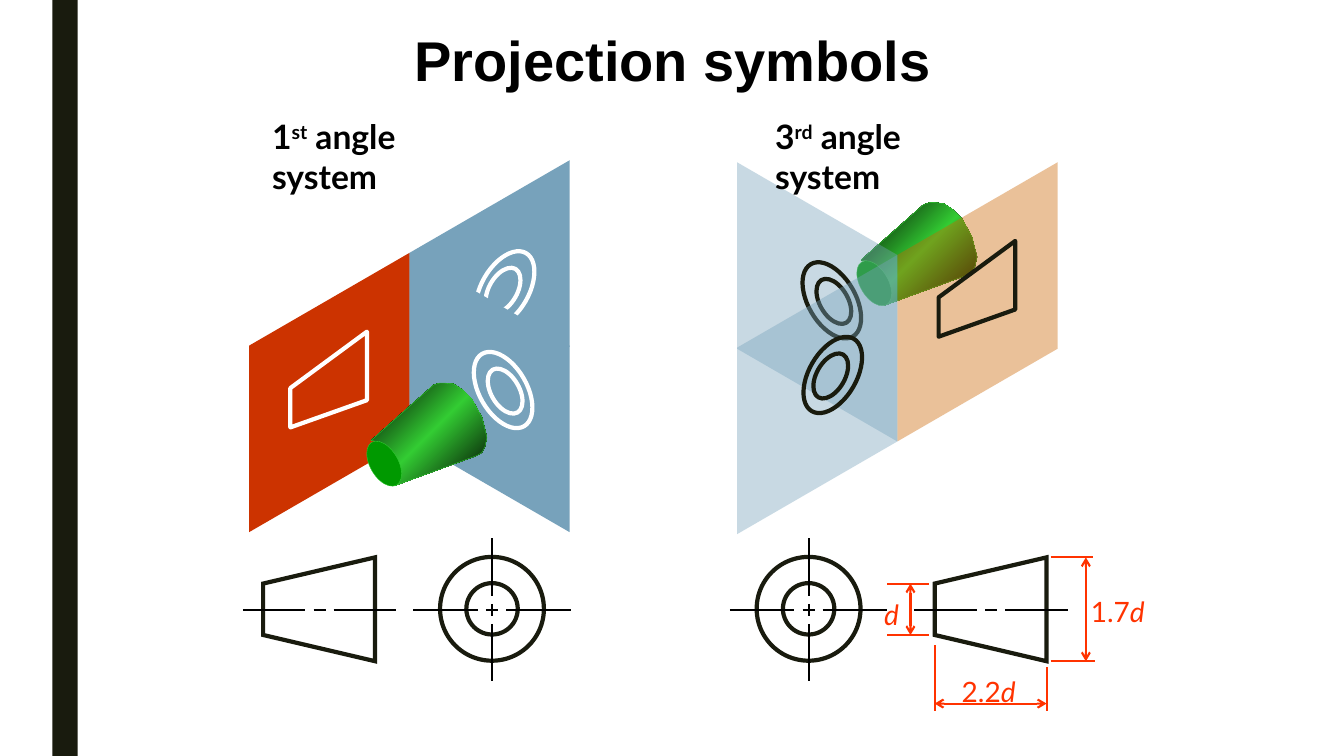
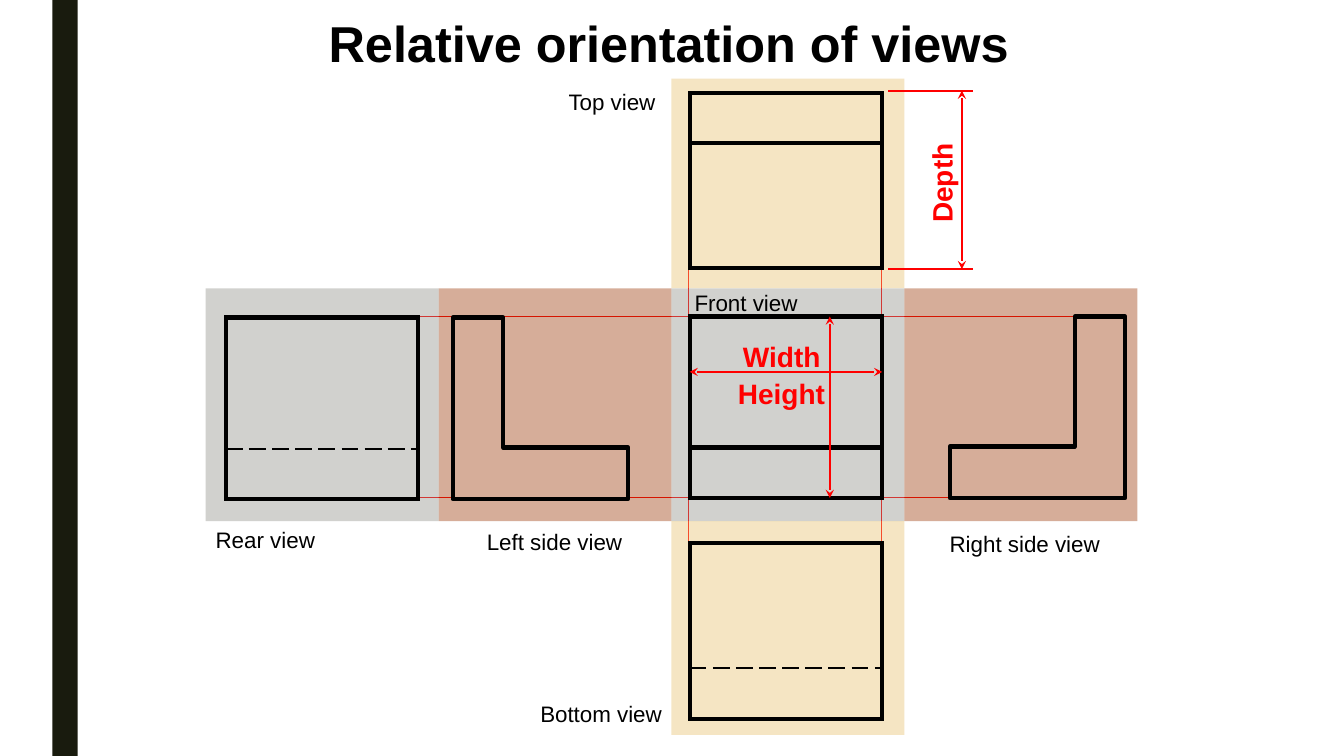
from dataclasses import dataclass
from lxml.etree import SubElement
from pptx import Presentation
from pptx.dml.color import RGBColor
from pptx.enum.dml import MSO_LINE
from pptx.enum.shapes import MSO_CONNECTOR, MSO_SHAPE
from pptx.enum.text import MSO_ANCHOR, PP_ALIGN
from pptx.oxml.ns import qn
from pptx.util import Inches, Pt


@dataclass(frozen=True)
class Theme:
    ink: str = "191B0E"
    black: str = "000000"
    white: str = "FFFFFF"
    blue: str = "77A2BB"
    rust: str = "CC3300"
    orange: str = "CC6600"
    cone: str = "33CC33"
    cone_end: str = "009900"
    dim: str = "FF3300"
    red: str = "FF0000"
    grey: str = "8C8D86"
    brown: str = "993300"
    sand: str = "E6C069"
    arial: str = "Arial"
    lato: str = "Lato"
    symbols_title: int = 40
    views_title: int = 36
    system_size: int = 24
    dim_size: int = 20
    view_size: int = 16
    thick: float = 3
    thin: float = 1.5
    hair: float = 0.75
    edge: float = 0.25
    clear: int = 40


THEME = Theme()


def rgb(color):
    return RGBColor.from_string(color)


def set_alpha(shape, percent):
    color = shape.element.spPr.find(qn("a:solidFill"))[0]
    SubElement(color, qn("a:alpha")).set("val", str(percent * 1000))


def set_cone_gradient(shape):
    """Dark, bright, dark across the cone at 45 degrees."""
    shape.fill.gradient()
    grad = shape.element.spPr.find(qn("a:gradFill"))
    for child in list(grad):
        grad.remove(child)
    stops = SubElement(grad, qn("a:gsLst"))
    for percent, color in ((0, THEME.black), (50, THEME.cone), (100, THEME.black)):
        stop = SubElement(stops, qn("a:gs"), pos=str(percent * 1000))
        SubElement(stop, qn("a:srgbClr"), val=color)
    SubElement(grad, qn("a:lin"), ang="2700000", scaled="0")


class Region:
    """Area of a slide; lengths in its methods are inches from its corner."""

    def __init__(self, slide, left, top):
        self.slide, self.left, self.top = slide, left, top

    def area(self, x, y):
        return Region(self.slide, self.left + x, self.top + y)

    def point(self, x, y):
        return Inches(self.left + x), Inches(self.top + y)

    def paint(self, shape, fill, line, width, alpha=None, sharp=False):
        shape.shadow.inherit = False
        if fill:
            shape.fill.solid()
            shape.fill.fore_color.rgb = rgb(fill)
            if alpha:
                set_alpha(shape, alpha)
        else:
            shape.fill.background()
        if line:
            shape.line.color.rgb = rgb(line)
            shape.line.width = Pt(width)
            if sharp:
                SubElement(shape.element.spPr.find(qn("a:ln")), qn("a:miter"), lim="800000")
        else:
            shape.line.fill.background()
        return shape

    def preset(self, kind, x, y, w, h, fill=None, line=None, width=THEME.thick,
               rotation=0, **look):
        shape = self.slide.shapes.add_shape(kind, *self.point(x, y), Inches(w), Inches(h))
        shape.rotation = rotation
        return self.paint(shape, fill, line, width, **look)

    def rect(self, *box, **look):
        return self.preset(MSO_SHAPE.RECTANGLE, *box, **look)

    def oval(self, cx, cy, w, h, **look):
        return self.preset(MSO_SHAPE.OVAL, cx - w / 2, cy - h / 2, w, h, **look)

    def polygon(self, points, fill=None, line=None, width=THEME.thick, **look):
        start, *rest = [self.point(*p) for p in points]
        builder = self.slide.shapes.build_freeform(*start, scale=1.0)
        builder.add_line_segments(rest, close=True)
        return self.paint(builder.convert_to_shape(), fill, line, width, **look)

    def line(self, x1, y1, x2, y2, color, width=THEME.thin, dashed=False, arrows=None):
        link = self.slide.shapes.add_connector(
            MSO_CONNECTOR.STRAIGHT, *self.point(x1, y1), *self.point(x2, y2))
        link.line.color.rgb = rgb(color)
        link.line.width = Pt(width)
        if dashed:
            link.line.dash_style = MSO_LINE.LONG_DASH
        if arrows:
            for end in ("a:headEnd", "a:tailEnd"):
                SubElement(link.element.spPr.find(qn("a:ln")), qn(end), type=arrows)
        SubElement(link.element.spPr, qn("a:effectLst"))

    def label(self, x, y, w, h, words, font, size, color, bold=False, wrap=False,
              rotation=0):
        """Write (text, style) pairs; style is "", "sup" or "italic"."""
        box = self.slide.shapes.add_textbox(*self.point(x, y), Inches(w), Inches(h))
        box.rotation = rotation
        box.text_frame.word_wrap = wrap
        for text, style in words:
            run = box.text_frame.paragraphs[0].add_run()
            run.text = text
            run.font.name, run.font.size = font, Pt(size)
            run.font.bold, run.font.italic = bold, style == "italic"
            run.font.color.rgb = rgb(color)
            if style == "sup":
                run.font._element.set("baseline", "30000")


# Shared frame
def add_side_bar(layout, slide):
    bar = Region(slide, 0, 0).rect(0.52, 0, 0.25, 7.5, fill=THEME.ink)
    layout.shapes.element.insert(2, bar.element)


def add_title(slide, text, box, size):
    title = slide.shapes.title
    title.left, title.top, title.width, title.height = map(Inches, box)
    title.text_frame.text = text
    title.text_frame.vertical_anchor = MSO_ANCHOR.MIDDLE
    paragraph = title.text_frame.paragraphs[0]
    paragraph.alignment = PP_ALIGN.CENTER
    font = paragraph.runs[0].font
    font.name, font.size, font.bold = THEME.arial, Pt(size), True
    font.color.rgb = rgb(THEME.black)


# Pictorial planes with a cone
PLANE_W, PLANE_RISE, PLANE_H = 1.59, 0.92, 1.85
CONE_BODY = [
    (0, .57), (.06, .58), (.13, .62), (.2, .68), (.25, .76), (.27, .84), (.28, .91),
    (.27, .98), (.23, 1.02), (1.05, .72), (1.1, .69), (1.13, .63), (1.15, .54),
    (1.12, .42), (1.1, .34), (1.05, .25), (1, .16), (.91, .07), (.82, .01), (.73, 0),
    (.68, 0), (.62, .02)]


def draw_plane(region, x, y, rise, fill, alpha=None):
    right, far = x + PLANE_W, y - rise
    region.polygon([(x, y), (right, far), (right, far + PLANE_H), (x, y + PLANE_H)],
                   fill=fill, alpha=alpha)


def draw_rings(region, cx, cy, rotation, color):
    shift = 0.02 if rotation == 60 else -0.02
    region.oval(cx + shift, cy + 0.01, 0.49, 0.28, line=color, rotation=rotation)
    region.oval(cx, cy, 0.83, 0.47, line=color, rotation=rotation)


def draw_cone(region):
    body = region.area(0.12, 0).polygon(CONE_BODY, line=THEME.cone, width=THEME.edge)
    set_cone_gradient(body)
    region.oval(0.25, 0.8, 0.49, 0.28, fill=THEME.cone_end, line=THEME.cone,
                width=THEME.edge, rotation=60)


def draw_side_outline(region, color):
    region.polygon([(0, 0.95), (0, 0.56), (0.76, 0), (0.76, 0.68)], line=color)


def draw_first_angle(region):
    draw_plane(region, PLANE_W, PLANE_RISE, PLANE_RISE, THEME.blue)
    draw_rings(region, 2.54, 1.28, 300, THEME.white)
    draw_plane(region, PLANE_W, PLANE_RISE, -PLANE_RISE, THEME.blue)
    draw_plane(region, 0, 2 * PLANE_RISE, PLANE_RISE, THEME.rust)
    draw_rings(region, 2.52, 2.28, 60, THEME.white)
    draw_side_outline(region.area(0.41, 1.7), THEME.white)
    draw_cone(region.area(1.09, 2.21))


def draw_third_angle(region):
    draw_cone(region.area(1.11, 0.4))
    draw_plane(region, 0, 0, -PLANE_RISE, THEME.blue, THEME.clear)
    draw_plane(region, PLANE_W, PLANE_RISE, PLANE_RISE, THEME.orange, THEME.clear)
    draw_rings(region, 0.94, 1.37, 60, THEME.ink)
    draw_side_outline(region.area(2, 0.78), THEME.ink)
    draw_plane(region, 0, 2 * PLANE_RISE, PLANE_RISE, THEME.blue, THEME.clear)
    draw_rings(region, 0.95, 2.11, 300, THEME.ink)


# Flat projection symbols
def draw_centre_line(region, cx, cy, reach, upright=False):
    for start, end in ((-reach, -0.14), (-0.06, 0.06), (0.14, reach)):
        if upright:
            region.line(cx, cy + start, cx, cy + end, THEME.black)
        else:
            region.line(cx + start, cy, cx + end, cy, THEME.black)


def draw_symbol(region, cone_x, circle_x):
    mid = 0.52
    for size in (1.03, 0.51):
        region.oval(circle_x, mid - 0.01, size, size, line=THEME.ink)
    region.polygon([(cone_x, 0.26), (cone_x + 1.11, 0), (cone_x + 1.11, 1.03),
                    (cone_x, 0.77)], line=THEME.ink, sharp=True)
    draw_centre_line(region, circle_x, mid, 0.78)
    draw_centre_line(region, circle_x, mid, 0.71, upright=True)
    draw_centre_line(region, cone_x + 0.56, mid, 0.76)


def draw_symbol_sizes(region):
    extensions = [(-.06, .26, -.47, .26), (-.06, .77, -.47, .77), (1.15, 0, 1.57, 0),
                  (1.15, 1.03, 1.59, 1.03), (0, .87, 0, 1.52), (1.11, 1.09, 1.11, 1.52)]
    spans = [(-.24, .26, -.24, .77), (1.5, 0, 1.5, 1.03), (0, 1.45, 1.11, 1.45)]
    for ends in extensions:
        region.line(*ends, THEME.dim)
    for ends in spans:
        region.line(*ends, THEME.dim, arrows="arrow")
    for x, y, w, factor in ((-.6, .35, .36, ""), (1.45, .32, .75, "1.7"),
                            (.17, 1.11, .75, "2.2")):
        words = [(factor, "")] if factor else []
        region.label(x, y, w, 0.44, words + [("d", "italic")], THEME.lato,
                     THEME.dim_size, THEME.dim)


def build_symbols(slide):
    add_title(slide, "Projection symbols", (1.67, 0.2, 10, 0.77), THEME.symbols_title)
    draw_first_angle(Region(slide, 2.47, 1.59))
    draw_third_angle(Region(slide, 7.31, 1.61))
    draw_symbol(Region(slide, 2.61, 5.53), 0, 2.27)
    draw_symbol(Region(slide, 8.02, 5.53), 1.25, 0)
    for left, number, ending in ((2.6, "1", "st"), (7.59, "3", "rd")):
        Region(slide, left, 1.1).label(
            0, 0, 1.6, 0.9, [(number, ""), (ending, "sup"), (" angle system", "")],
            THEME.lato, THEME.system_size, THEME.black, bold=True, wrap=True)
    draw_symbol_sizes(Region(slide, 9.27, 5.53))


# Six views around the front view
CELL = 2.31
VIEW_W, VIEW_H, VIEW_D = 1.91, 1.8, 1.74


def draw_panel(cell, height, fill):
    cell.rect(0, 0, CELL, height, fill=fill, alpha=THEME.clear)


def draw_flat_view(view, height, fold, hidden=False):
    view.rect(0, 0, VIEW_W, height, line=THEME.black, sharp=True)
    view.line(0, fold, VIEW_W, fold, THEME.black,
              THEME.thin if hidden else THEME.thick, dashed=hidden)


def draw_profile(view, mirrored=False):
    outline = [(0, 0), (0.5, 0), (0.5, 1.29), (VIEW_D, 1.29), (VIEW_D, VIEW_H), (0, VIEW_H)]
    if mirrored:
        outline = [(VIEW_D - x, y) for x, y in outline]
    view.polygon(outline, line=THEME.black)


def draw_view_name(cell, x, y, w, name):
    cell.label(x, y, w, 0.37, [(name, "")], THEME.arial, THEME.view_size, THEME.black)


def draw_view_sizes(front):
    for ends in ((1.39, 0, 1.39, VIEW_H), (0, .55, VIEW_W, .55), (2.7, -2.24, 2.7, -.47)):
        front.line(*ends, THEME.red, arrows="stealth")
    for y in (-2.24, -0.47):
        front.line(1.97, y, 2.81, y, THEME.red)
    for x, y, w, name, rotation in ((.38, .55, 1.07, "Height", 0), (.43, .18, .97, "Width", 0),
                                    (2, -1.54, .99, "Depth", 270)):
        front.label(x, y, w, 0.43, [(name, "")], THEME.arial, THEME.dim_size, THEME.red,
                    bold=True, rotation=rotation)


def build_views(slide):
    add_title(slide, "Relative orientation of views", (2.15, 0.07, 8.97, 0.71),
              THEME.views_title)
    row = Region(slide, 2.04, 2.86)
    rear, left, front, right = [row.area(CELL * i, 0) for i in range(4)]
    top, bottom = front.area(0, -2.08), front.area(0, CELL)

    # Projection lines
    for ends in ((6.7, 2.76, 6.7, -.47), (4.79, 2.75, 4.79, -.48),
                 (7.39, 2.08, 2.1, 2.08), (8.6, .28, 2.08, .28)):
        row.line(*ends, THEME.red, THEME.hair)

    # Tinted panels
    for cell, height, fill in ((front, CELL, THEME.grey), (right, CELL, THEME.brown),
                               (left, CELL, THEME.brown), (rear, CELL, THEME.grey),
                               (top, 2.08, THEME.sand), (bottom, 2.12, THEME.sand)):
        draw_panel(cell, height, fill)

    # Views
    draw_flat_view(front.area(0.18, 0.28), VIEW_H, 1.3)
    draw_flat_view(rear.area(0.2, 0.29), VIEW_H, 1.3, hidden=True)
    draw_flat_view(top.area(0.18, 0.14), VIEW_D, 0.5)
    draw_flat_view(bottom.area(0.18, 0.22), VIEW_D, 1.24, hidden=True)
    draw_profile(left.area(0.14, 0.29))
    draw_profile(right.area(0.45, 0.28), mirrored=True)
    draw_view_sizes(front.area(0.18, 0.28))

    # View names
    for cell, x, y, w, name in ((left, .38, 2.33, 1.55, "Left side view"),
                                (right, .35, 2.35, 1.69, "Right side view"),
                                (bottom, -1.4, 1.73, 1.41, "Bottom view"),
                                (top, -1.12, .05, 1.09, "Top view"),
                                (rear, 0, 2.31, 1.19, "Rear view"),
                                (front, .13, -.04, 1.23, "Front view")):
        draw_view_name(cell, x, y, w, name)


def main():
    deck = Presentation()
    deck.slide_width, deck.slide_height = Inches(13.33), Inches(7.5)
    layout = deck.slide_layouts[5]
    symbols, views = [deck.slides.add_slide(layout) for _ in range(2)]
    add_side_bar(layout, symbols)
    build_symbols(symbols)
    build_views(views)
    deck.save("out.pptx")


if __name__ == "__main__":
    main()
